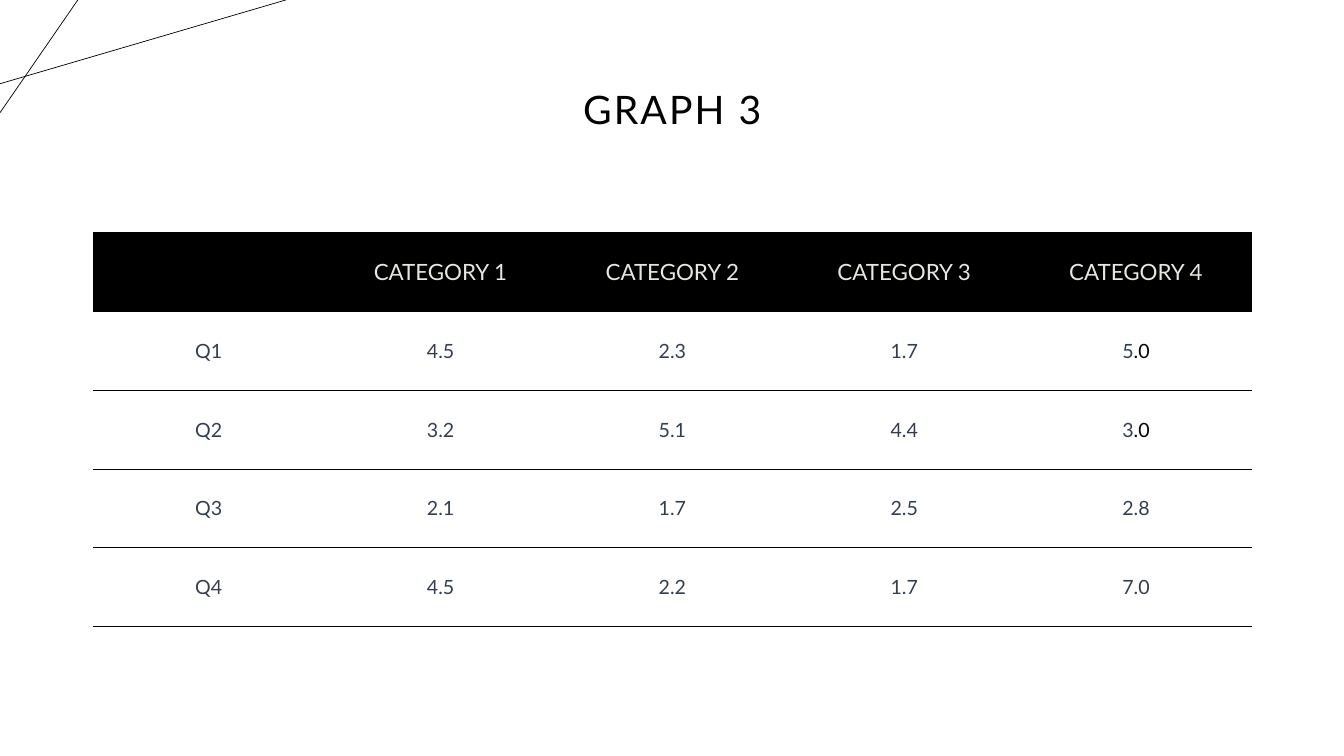
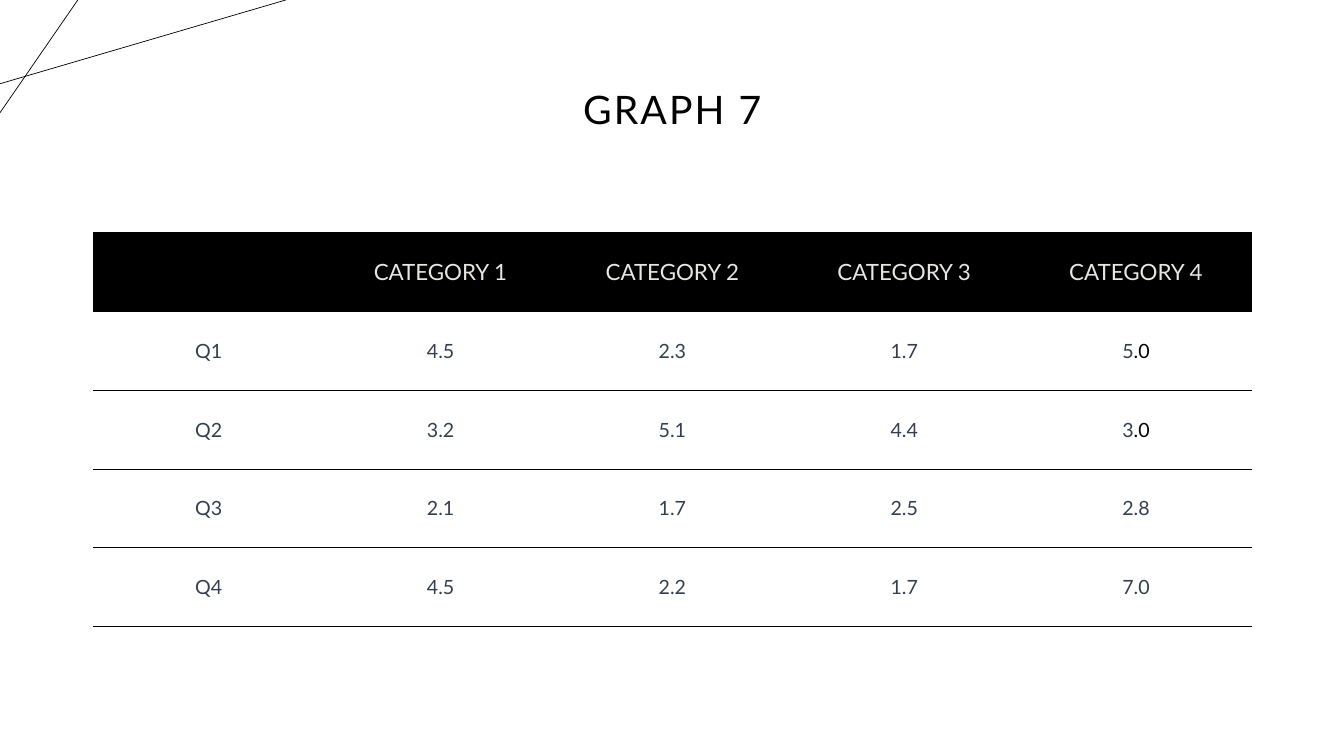
from lxml.etree import SubElement
from pptx import Presentation
from pptx.dml.color import RGBColor
from pptx.enum.shapes import MSO_CONNECTOR as Connector
from pptx.enum.text import MSO_ANCHOR as Anchor, PP_ALIGN as Align
from pptx.oxml.ns import qn
from pptx.util import Cm, Pt

FONT = "Lato"
BLACK, WHITE, CREAM, SLATE = "000000", "FFFFFF", "E9E6DF", "333F50"
RULE_WIDTH = Pt(0.5)
MARGIN, CONTENT_WIDTH = 2.34, 29.21
TABLE_TOP, TABLE_HEIGHT = 5.86, 9.93
CORNER_LINES = [(0, 2.11, 7.2, 0), (1.96, 0, 0, 2.84)]

HEADER = ["", "CATEGORY 1", "CATEGORY 2", "CATEGORY 3", "CATEGORY 4"]
# A pair holds a number and an ending that is set in black.
QUARTERS = [
    ["Q1", "4.5", "2.3", "1.7", ("5", ".0")],
    ["Q2", "3.2", "5.1", "4.4", ("3", ".0")],
    ["Q3", "2.1", "1.7", "2.5", "2.8"],
    ["Q4", "4.5", "2.2", "1.7", "7.0"],
]


def rgb(color):
    return RGBColor.from_string(color)


def add_text(paragraph, text, size=14, color=BLACK, spacing=None):
    paragraph.alignment = Align.CENTER
    run = paragraph.add_run()
    run.text = text
    font = run.font
    font.name, font.size, font.bold = FONT, Pt(size), False
    font.color.rgb = rgb(color)
    if spacing:
        run._r.get_or_add_rPr().set("spc", str(round(spacing * 100)))


def add_corner_lines(slide):
    for ends in CORNER_LINES:
        line = slide.shapes.add_connector(Connector.STRAIGHT, *map(Cm, ends))
        line.line.color.rgb = rgb(BLACK)
        line.line.width = RULE_WIDTH
        SubElement(line._element.spPr, qn("a:effectLst"))


def add_title(slide, title):
    box = slide.shapes.add_textbox(Cm(MARGIN), Cm(0.97), Cm(CONTENT_WIDTH), Cm(3.68))
    frame = box.text_frame
    frame.word_wrap = True
    frame.vertical_anchor = Anchor.MIDDLE
    paragraph = frame.paragraphs[0]
    paragraph.line_spacing = 0.9
    add_text(paragraph, title, size=28, spacing=1.5)


def set_horizontal_rules(cell):
    """Rule the top and bottom of a cell and leave its sides open."""
    properties = cell._tc.get_or_add_tcPr()
    for edge in ("lnL", "lnR", "lnT", "lnB"):
        line = SubElement(properties, qn(f"a:{edge}"), w=str(RULE_WIDTH))
        if edge in ("lnT", "lnB"):
            fill = SubElement(line, qn("a:solidFill"))
            SubElement(fill, qn("a:srgbClr"), val=BLACK)
        else:
            SubElement(line, qn("a:noFill"))


def fill_cell(cell, content, is_header):
    set_horizontal_rules(cell)
    cell.vertical_anchor = Anchor.MIDDLE
    if is_header:
        cell.fill.solid()
        cell.fill.fore_color.rgb = rgb(BLACK)
    else:
        cell.fill.background()
    number, ending = content if isinstance(content, tuple) else (content, "")
    paragraph = cell.text_frame.paragraphs[0]
    if number:
        add_text(paragraph, number, size=16 if is_header else 14,
                 color=CREAM if is_header else SLATE)
    if ending:
        add_text(paragraph, ending)


def add_data_table(slide, rows):
    frame = slide.shapes.add_table(
        len(rows), len(rows[0]), Cm(MARGIN), Cm(TABLE_TOP),
        Cm(CONTENT_WIDTH), Cm(TABLE_HEIGHT))
    table = frame.table
    table.first_row = table.horz_banding = False
    for row_index, row in enumerate(rows):
        for column_index, content in enumerate(row):
            fill_cell(table.cell(row_index, column_index), content, row_index == 0)


def add_graph_slide(presentation, title, rows):
    slide = presentation.slides.add_slide(presentation.slide_layouts[6])
    slide.background.fill.solid()
    slide.background.fill.fore_color.rgb = rgb(WHITE)
    add_corner_lines(slide)
    add_data_table(slide, rows)
    add_title(slide, title)


def main():
    presentation = Presentation()
    presentation.slide_width, presentation.slide_height = Cm(33.87), Cm(19.05)
    for title in ("GRAPH 3", "GRAPH 7"):
        add_graph_slide(presentation, title, [HEADER, *QUARTERS])
    presentation.save("out.pptx")


if __name__ == "__main__":
    main()
